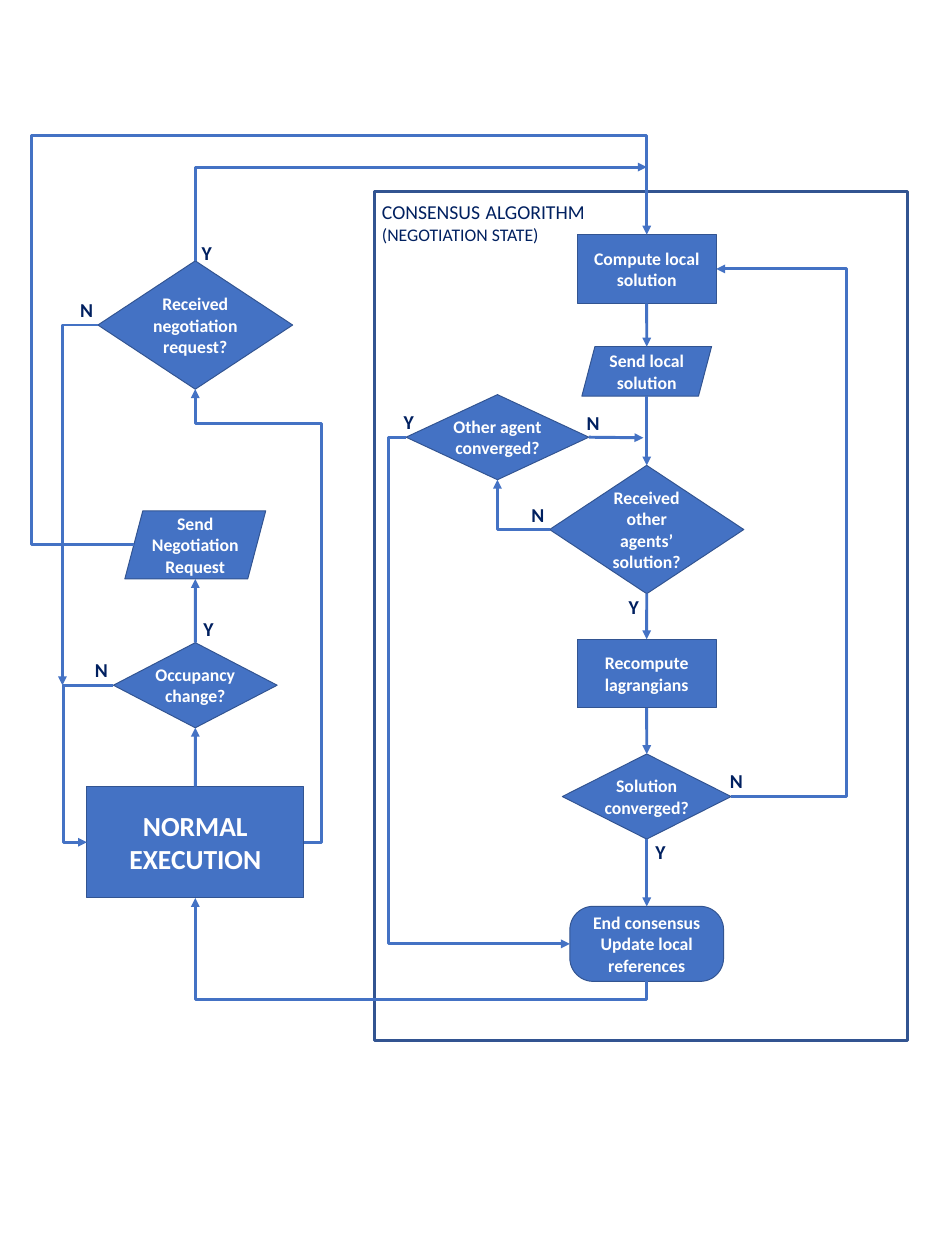
from lxml.etree import SubElement
from pptx import Presentation
from pptx.dml.color import RGBColor
from pptx.enum.shapes import MSO_CONNECTOR as Link, MSO_SHAPE as Form
from pptx.enum.text import MSO_ANCHOR as Anchor, MSO_AUTO_SIZE as Auto, PP_ALIGN as Align
from pptx.oxml.ns import qn
from pptx.util import Cm, Pt

BLUE, EDGE, NAVY, WHITE = "4472C4", "325491", "002060", "FFFFFF"
TOP, LEFT, BOTTOM, RIGHT = range(4)
WEST, MID, EAST = 7, 17.83, 23.18
SKEW = 0.264

FRAME = (13.44, 6.88, 19.08, 30.4)
HEAD = [[("CONSENSUS", 20), (" ", 24), ("ALGORITHM", 20)], [("(NEGOTIATION STATE)", 18)]]

NODES = {
    "change": (Form.DIAMOND, WEST, 24.56, 5.87, 3.05, ["Occupancy change?"]),
    "request": (Form.DIAMOND, WEST, 11.65, 6.98, 4.6, ["Received negotiation request?"]),
    "compute": (Form.RECTANGLE, EAST, 9.64, 4.98, 2.46, ["Compute local solution"]),
    "answer": (Form.DIAMOND, EAST, 18.98, 6.96, 4.6, ["Received other agents’ solution?"]),
    "update": (Form.RECTANGLE, EAST, 24.14, 4.98, 2.46, ["Recompute lagrangians"]),
    "solved": (Form.DIAMOND, EAST, 28.55, 6.05, 3.05, ["Solution converged?"]),
    "end": (Form.ROUNDED_RECTANGLE, EAST, 33.83, 5.51, 2.69,
            ["End consensus", "Update local references"]),
    "local": (Form.PARALLELOGRAM, EAST, 13.31, 4.65, 1.78, ["Send local solution"]),
    "other": (Form.DIAMOND, MID, 15.67, 6.55, 3.05, ["Other agent converged?"]),
    "normal": (Form.RECTANGLE, WEST, 30.19, 7.77, 3.99, ["NORMAL EXECUTION"]),
    "send": (Form.PARALLELOGRAM, WEST, 19.53, 5.05, 2.44, ["Send Negotiation Request"]),
}
SIZES = {"normal": 28}
ROUND = {Form.ROUNDED_RECTANGLE: 0.311, Form.PARALLELOGRAM: SKEW}

ARROWS = [
    (("answer", BOTTOM), ("update", TOP)),
    (("update", BOTTOM), ("solved", TOP)),
    (("solved", BOTTOM), ("end", TOP)),
    (("compute", BOTTOM), ("local", TOP)),
    (("local", BOTTOM), ("answer", TOP)),
    (("other", RIGHT), (23.06, 15.69)),
    (("normal", TOP), ("change", BOTTOM)),
    (("change", TOP), ("send", BOTTOM)),
]
ROUTES = [
    (("answer", LEFT), [], ("other", BOTTOM)),
    (("other", LEFT), [13.92], ("end", LEFT)),
    (("end", BOTTOM), [35.81], ("normal", BOTTOM)),
    (("solved", RIGHT), [30.35], ("compute", RIGHT)),
    (("change", LEFT), [2.26], ("normal", LEFT)),
    (("normal", RIGHT), [11.53, 15.16], ("request", BOTTOM)),
    (("send", LEFT), [1.14, 4.85], ("compute", TOP)),
    (("request", LEFT), [], (2.24, 24.56)),
    (("request", TOP), [], (EAST, 5.99)),
]
MARKS = [
    ("Y", 14.22, 14.58), ("N", 20.78, 14.6), ("Y", 23.24, 29.97), ("N", 25.91, 27.43),
    ("N", 18.8, 17.91), ("Y", 22.28, 21.18), ("Y", 7.04, 22), ("Y", 6.98, 8.51),
    ("N", 2.62, 10.54), ("N", 3.15, 23.44),
]


def tint(code):
    return RGBColor.from_string(code)


def put(item, **vals):
    for key, val in vals.items():
        setattr(item, key, val)


def write(frame, lines, hue, bold, align):
    for num, runs in enumerate(lines):
        para = frame.paragraphs[0] if num == 0 else frame.add_paragraph()
        para.alignment = align
        for text, size in runs:
            run = para.add_run()
            run.text = text
            put(run.font, name="Calibri", size=Pt(size), bold=bold)
            run.font.color.rgb = tint(hue)


def draw(form, box, width, fill=None):
    shape = slide.shapes.add_shape(form, *map(Cm, box))
    shape.shadow.inherit = False
    if fill:
        shape.fill.solid()
        shape.fill.fore_color.rgb = tint(fill)
    else:
        shape.fill.background()
    shape.line.color.rgb = tint(EDGE)
    shape.line.width = Pt(width)
    return shape


def spot(end):
    name, side = end
    if name not in NODES:
        return end
    form, x, y, wide, high, _ = NODES[name]
    half = wide / 2
    if form == Form.PARALLELOGRAM:
        half -= SKEW * high / 2
    return [(x, y - high / 2), (x - half, y), (x, y + high / 2), (x + half, y)][side]


def link(kind, start, stop):
    line = slide.shapes.add_connector(kind, *map(Cm, (*start, *stop)))
    line.line.color.rgb = tint(BLUE)
    line.line.width = Pt(3)
    SubElement(line.line._get_or_add_ln(), qn("a:tailEnd"), type="triangle")
    SubElement(line._element.spPr, qn("a:effectLst"))
    return line


def joins(end):
    return end[0] in NODES and NODES[end[0]][0] != Form.PARALLELOGRAM


def straight(start, stop):
    line = link(Link.STRAIGHT, spot(start), spot(stop))
    if joins(start):
        line.begin_connect(shapes[start[0]], start[1])
    if joins(stop):
        line.end_connect(shapes[stop[0]], stop[1])


def bend(start, lanes, stop):
    (ax, ay), (bx, by) = spot(start), spot(stop)
    dx, dy = bx - ax, by - ay
    turn = start[1] in (TOP, BOTTOM)
    if turn:
        mx, my = (ax + bx) / 2, (ay + by) / 2
        line = link(Link.ELBOW, (mx - dy / 2, my + dx / 2), (mx + dy / 2, my - dx / 2))
        line._element.spPr.find(qn("a:xfrm")).set("rot", "5400000")
    else:
        line = link(Link.ELBOW, (ax, ay), (bx, by))
    geom = line._element.spPr.find(qn("a:prstGeom"))
    geom.set("prst", f"bentConnector{len(lanes) + 2}")
    axes = [(ay, dy), (ax, dx)] if turn else [(ax, dx), (ay, dy)]
    for num, (lane, (base, span)) in enumerate(zip(lanes, axes), 1):
        part = round((lane - base) / span * 100000)
        SubElement(geom.find(qn("a:avLst")), qn("a:gd"), name=f"adj{num}", fmla=f"val {part}")


deck = Presentation()
put(deck, slide_width=Cm(33.87), slide_height=Cm(45.16))
slide = deck.slides.add_slide(deck.slide_layouts[6])

panel = draw(Form.RECTANGLE, FRAME, 3).text_frame
put(panel, vertical_anchor=Anchor.TOP, word_wrap=True)
write(panel, HEAD, NAVY, False, Align.LEFT)

shapes = {}
for name, (form, x, y, wide, high, lines) in NODES.items():
    shape = shapes[name] = draw(form, (x - wide / 2, y - high / 2, wide, high), 1, BLUE)
    if form in ROUND:
        shape.adjustments[0] = ROUND[form]
    frame = shape.text_frame
    put(frame, vertical_anchor=Anchor.MIDDLE, word_wrap=True)
    if form == Form.DIAMOND:
        put(frame, margin_left=0, margin_right=0, margin_top=0, margin_bottom=0,
            auto_size=Auto.SHAPE_TO_FIT_TEXT)
    size = SIZES.get(name, 18)
    write(frame, [[(text, size)] for text in lines], WHITE, True, Align.CENTER)

for arrow in ARROWS:
    straight(*arrow)
for route in ROUTES:
    bend(*route)

for text, x, y in MARKS:
    frame = slide.shapes.add_textbox(Cm(x), Cm(y), Cm(0.9), Cm(1.11)).text_frame
    put(frame, word_wrap=False, auto_size=Auto.SHAPE_TO_FIT_TEXT)
    write(frame, [[(text, 20)]], NAVY, True, Align.LEFT)

deck.save("out.pptx")
